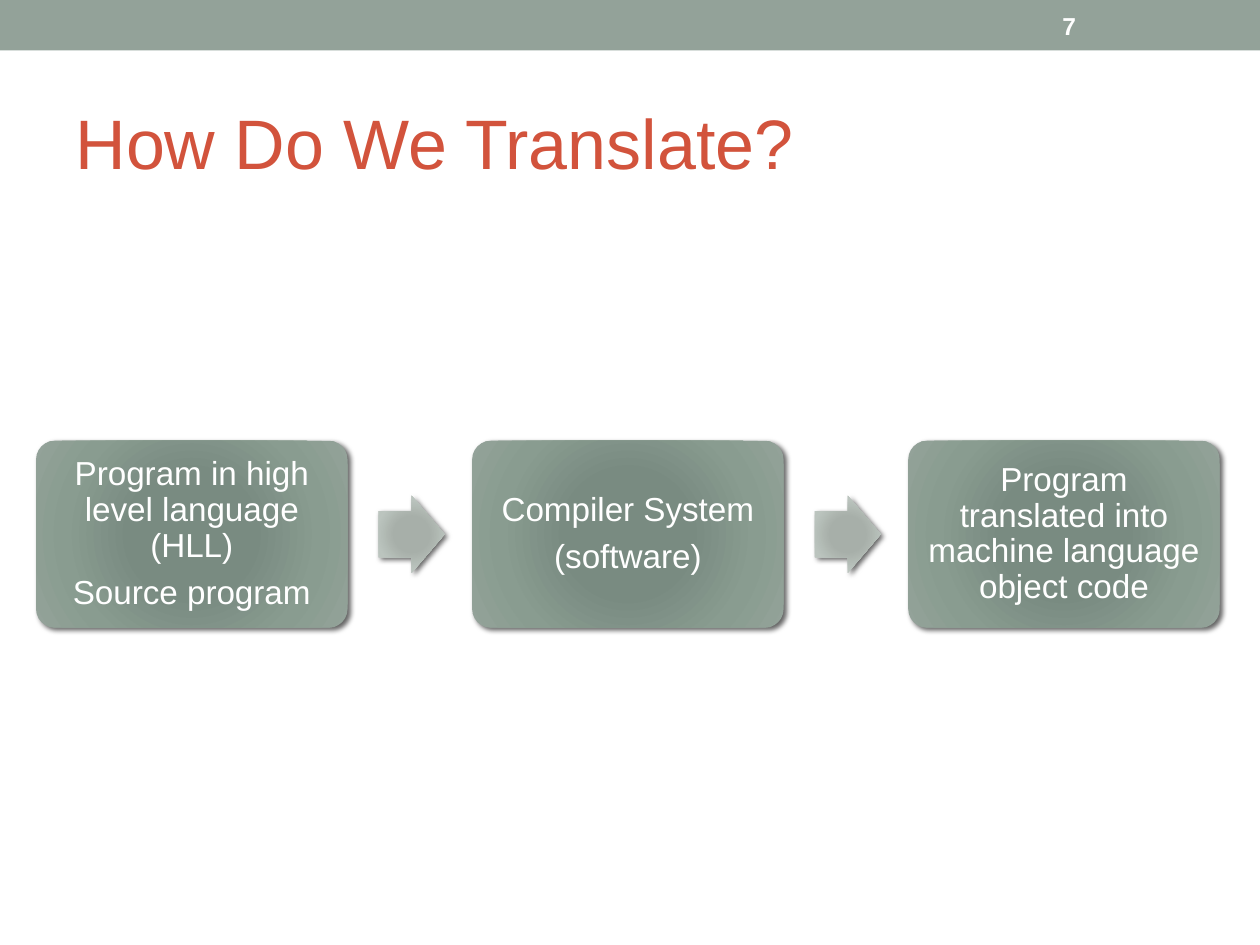
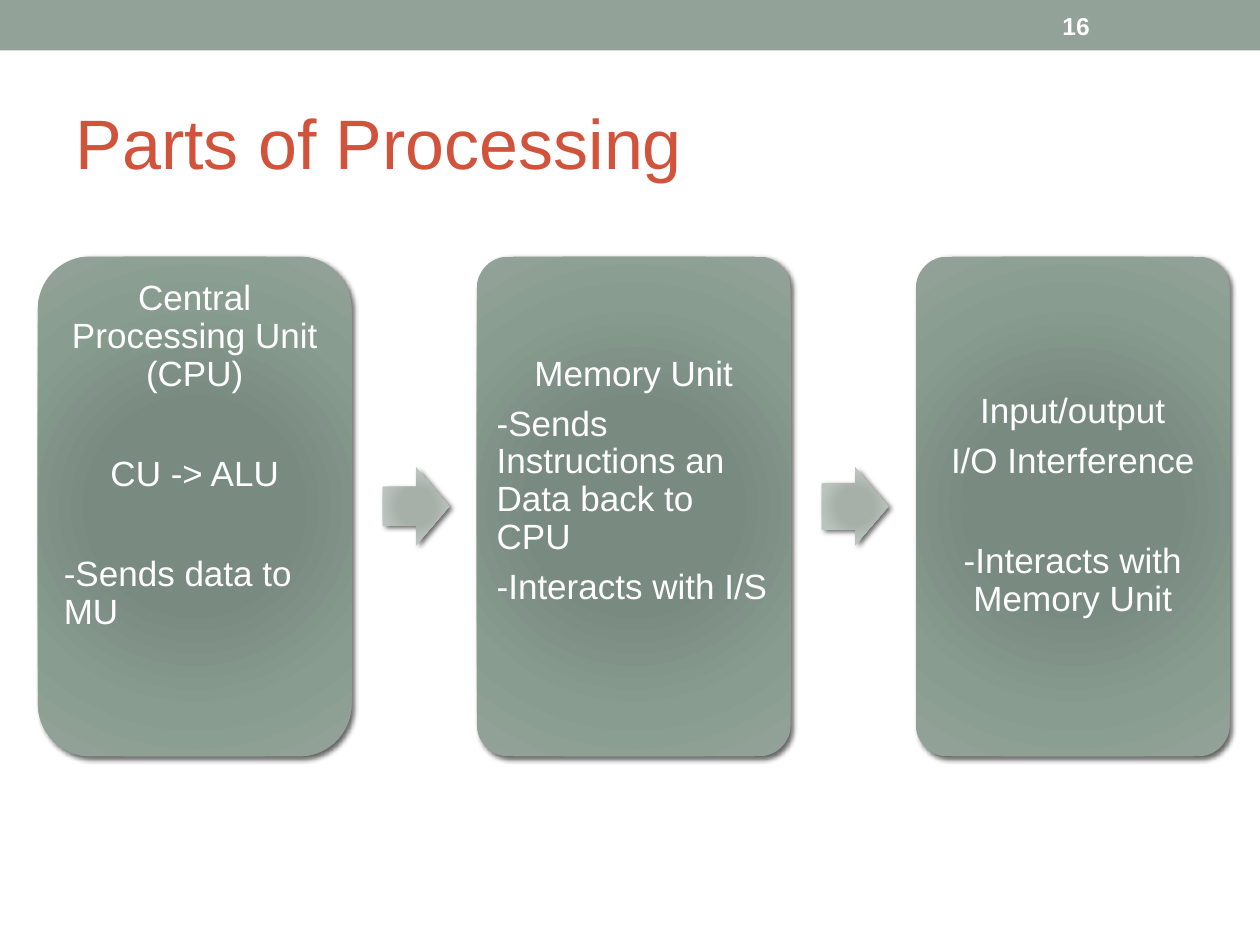
import pptx
import pptx.util
import pptx.dml.color
import pptx.enum.shapes
import pptx.enum.text
import pptx.oxml
import pptx.oxml.ns

Pt = pptx.util.Pt
Shape = pptx.enum.shapes.MSO_SHAPE
Align = pptx.enum.text.PP_ALIGN
MIDDLE = pptx.enum.text.MSO_ANCHOR.MIDDLE

THEME = {
    "font": "Arial",
    "band": "93A299",
    "title": {"size": 40, "color": "D2533C", "bold": False},
    "number": {"size": 14, "color": "FFFFFF", "bold": True},
    "step": {"color": "FFFFFF", "bold": False},
    "box": [(0, "788C81"), (34, "798B81"), (70, "899C90"), (100, "93A299")],
    "arrow": [(0, "A7AFA9"), (34, "A7AFA9"), (70, "BBC4BE"), (100, "C7CDC9")],
}

# Each line of a step: text, alignment, empty lines left above it.
# "tail" is the number of empty lines left below the last line.
C, L = Align.CENTER, Align.LEFT
SLIDES = [
    {
        "title": "How Do We Translate?", "number": "7",
        "left": 20.6, "mid": 305.3, "wide": 178, "high": 106.8, "size": 19,
        "arrows": [0.6, 0.6],
        "steps": [
            {"lines": [("Program in high level language (HLL)", C, 0),
                       ("Source program", C, 0)]},
            {"lines": [("Compiler System", C, 0), ("(software)", C, 0)]},
            {"lines": [("Program translated into machine language object code",
                        C, 0)]},
        ],
    },
    {
        "title": "Parts of Processing", "number": "16",
        "left": 21.7, "mid": 289.4, "wide": 179.2, "high": 285.6, "size": 20,
        "arrows": [0.5, 0.6],
        "steps": [
            {"lines": [("Central Processing Unit (CPU)", C, 0),
                       ("CU -> ALU", C, 1),
                       ("-Sends data to MU", L, 1)],
             "tail": 2, "round": 0.167},
            {"lines": [("Memory Unit", C, 0),
                       ("-Sends Instructions an Data back to CPU", L, 0),
                       ("-Interacts with I/S", L, 0)],
             "tail": 1},
            {"lines": [("Input/output", C, 0), ("I/O Interference", C, 0),
                       ("-Interacts with Memory Unit", C, 1)]},
        ],
    },
]


def apply(target, values):
    for name, value in values.items():
        setattr(target, name, value)


def style(para, size, color, bold):
    apply(para.font, {"name": THEME["font"], "size": Pt(size), "bold": bold})
    para.font.color.rgb = pptx.dml.color.RGBColor.from_string(color)


def margins(x, y):
    return {"margin_left": Pt(x), "margin_right": Pt(x),
            "margin_top": Pt(y), "margin_bottom": Pt(y)}


def draw(slide, kind, x, y, wide, high):
    shape = slide.shapes.add_shape(kind, Pt(x), Pt(y), Pt(wide), Pt(high))
    shape.shadow.inherit = False
    shape.line.fill.background()
    return shape


def glow(shape, stops):
    """Give the shape a circular gradient and a soft shadow."""
    names = pptx.oxml.ns.nsdecls("a")
    marks = "".join(
        f'<a:gs pos="{pos * 1000}"><a:srgbClr val="{color}"/></a:gs>'
        for pos, color in stops)
    fill = pptx.oxml.parse_xml(
        f'<a:gradFill {names} rotWithShape="1"><a:gsLst>{marks}</a:gsLst>'
        '<a:path path="circle"><a:fillToRect l="50000" t="50000" r="50000" '
        'b="50000"/></a:path></a:gradFill>')
    shade = pptx.oxml.parse_xml(
        f'<a:outerShdw {names} blurRad="{Pt(3)}" dist="{Pt(2)}" dir="2700000" '
        'rotWithShape="0"><a:srgbClr val="000000"><a:alpha val="60000"/>'
        '</a:srgbClr></a:outerShdw>')
    props = shape.element.spPr
    props.find(pptx.oxml.ns.qn("a:prstGeom")).addnext(fill)
    props.find(pptx.oxml.ns.qn("a:effectLst")).append(shade)


def write(frame, step, size):
    gap, blank = size * 0.35, size * 1.43
    apply(frame, {"word_wrap": True, "vertical_anchor": MIDDLE})
    apply(frame, margins(size * 0.3, size * 0.3))
    frame.margin_bottom += Pt(blank * step.get("tail", 0))
    for i, (text, align, above) in enumerate(step["lines"]):
        para = frame.add_paragraph() if i else frame.paragraphs[0]
        para.text = text
        apply(para, {"alignment": align, "line_spacing": 0.9,
                     "space_before": Pt(gap + blank * above if i else 0)})
        style(para, size, **THEME["step"])


def flow(slide, data):
    """Draw the steps in a row with an arrow in each gap."""
    wide, high, mid = data["wide"], data["high"], data["mid"]
    tip, tall = wide * 0.212, wide * 0.248
    for i, step in enumerate(data["steps"]):
        x = data["left"] + i * wide * 1.4
        box = draw(slide, Shape.ROUNDED_RECTANGLE, x, mid - high / 2, wide, high)
        box.adjustments[0] = step.get("round", 0.1)
        glow(box, THEME["box"])
        write(box.text_frame, step, data["size"])
        if i < len(data["arrows"]):
            arrow = draw(slide, Shape.RIGHT_ARROW, x + wide * 1.1,
                         mid - tall / 2, tip, tall)
            arrow.adjustments[0] = data["arrows"][i]
            glow(arrow, THEME["arrow"])


def label(frame, text, look):
    frame.text = text
    apply(frame, {"word_wrap": True, "vertical_anchor": MIDDLE})
    apply(frame, margins(7.2, 3.6))
    para = frame.paragraphs[0]
    para.alignment = Align.LEFT
    style(para, **look)


def main():
    deck = pptx.Presentation()
    apply(deck, {"slide_width": Pt(720), "slide_height": Pt(540)})
    layout = deck.slide_layouts.get_by_name("Title Only")
    apply(layout.placeholders[0], {"left": Pt(36), "top": Pt(42),
                                   "width": Pt(648), "height": Pt(78)})
    for i, data in enumerate(SLIDES):
        slide = deck.slides.add_slide(layout)
        if i == 0:
            band = draw(slide, Shape.RECTANGLE, 0, 0, 720, 28.8)
            band.fill.solid()
            band.fill.fore_color.rgb = pptx.dml.color.RGBColor.from_string(
                THEME["band"])
            layout.shapes.element.append(band.element)
        label(slide.shapes.title.text_frame, data["title"], THEME["title"])
        flow(slide, data)
        number = slide.shapes.add_textbox(Pt(600), Pt(1.5), Pt(84), Pt(26))
        label(number.text_frame, data["number"], THEME["number"])
    deck.save("out.pptx")


if __name__ == "__main__":
    main()
